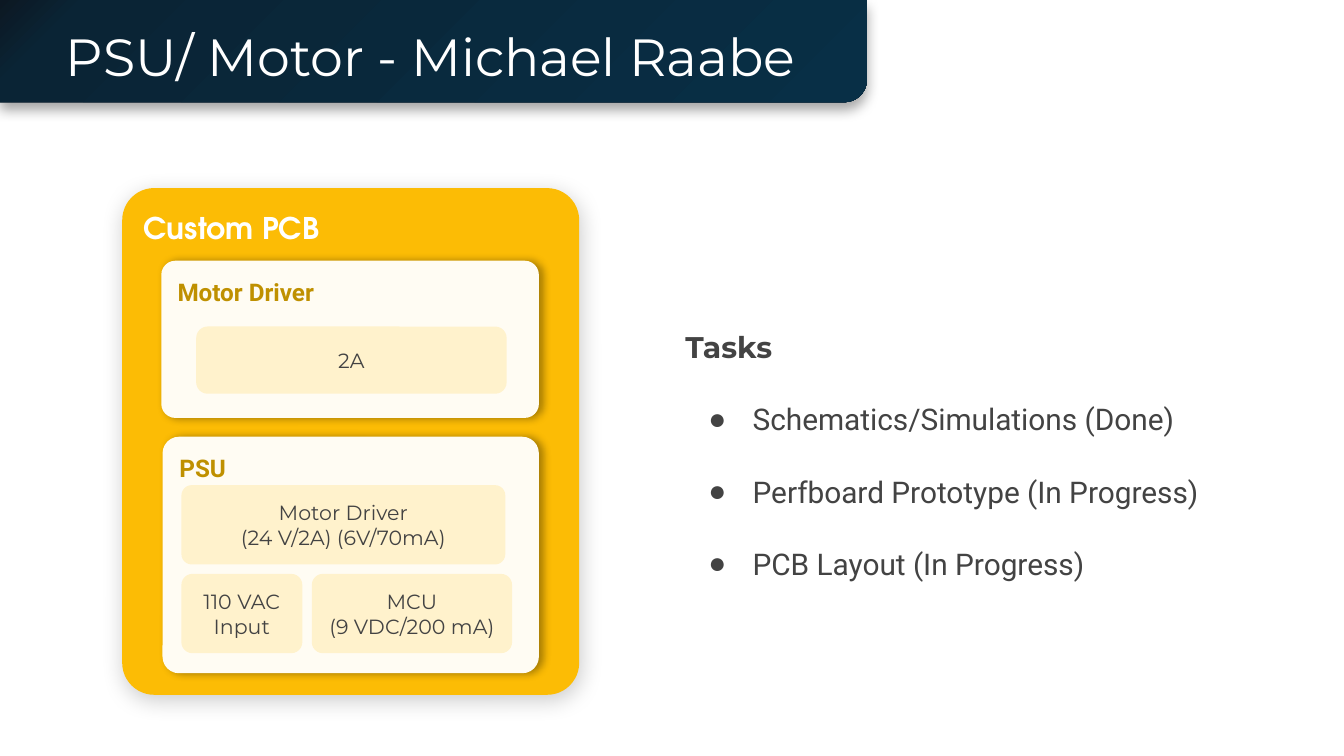
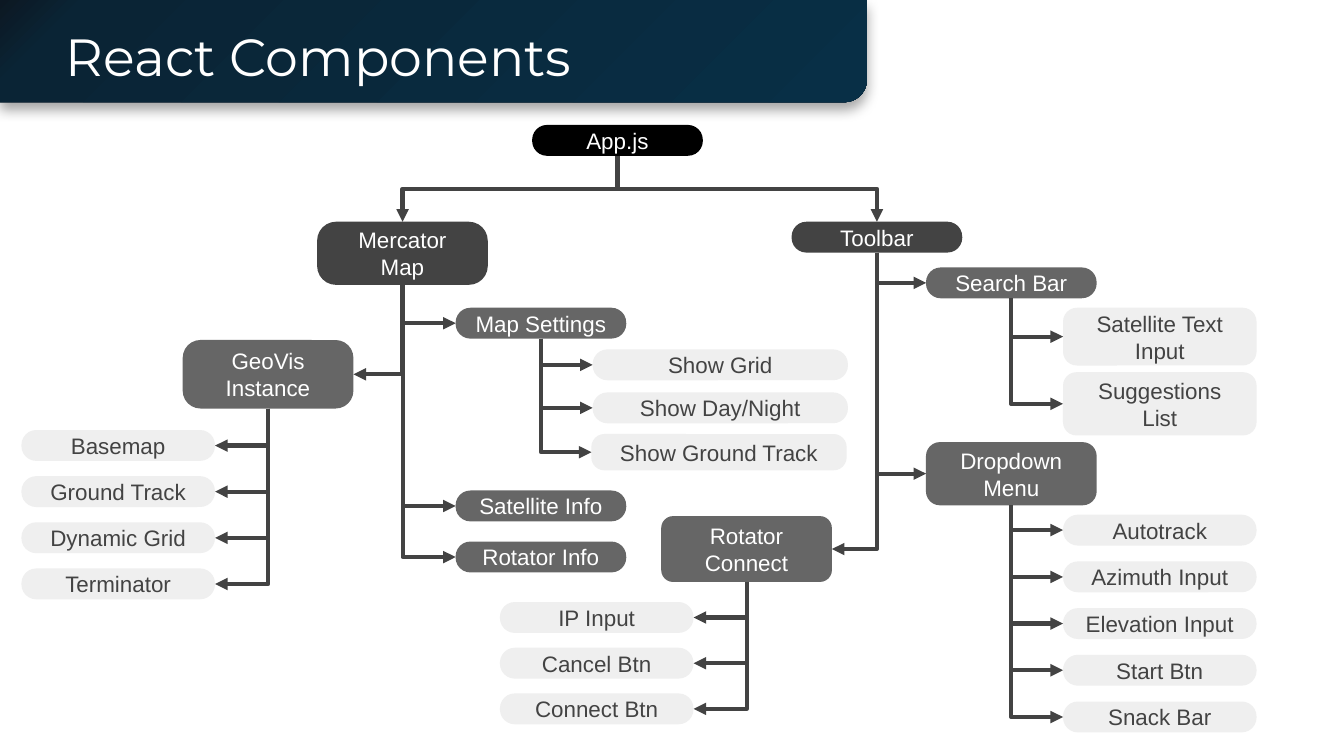
from dataclasses import dataclass

from pptx import Presentation
from pptx.dml.color import RGBColor
from pptx.enum.shapes import MSO_CONNECTOR, MSO_SHAPE
from pptx.enum.text import MSO_ANCHOR, MSO_AUTO_SIZE, PP_ALIGN
from pptx.oxml import parse_xml
from pptx.oxml.ns import nsdecls, qn
from pptx.util import Inches, Pt

WHITE, GRAPHITE, AMBER, IVORY, CREAM, BRONZE = (
    "FFFFFF", "434343", "FCBC05", "FFFCF3", "FFF2CC", "BF9000")
BAND_STOPS = ((0, "082F46"), (91, "0A2435"), (100, "0C1823"))
LEVEL_COLOURS = (("000000", WHITE), (GRAPHITE, WHITE), ("666666", WHITE), ("EFEFEF", GRAPHITE))
ROW = 0.23
LEAF_WIDTH = 1.44


@dataclass(frozen=True)
class Shadow:
    alpha: int
    blur: float
    distance: float
    angle: int


@dataclass(frozen=True)
class TextStyle:
    font: str
    size: float
    colour: str
    bold: bool = False


@dataclass(frozen=True)
class Card:
    lines: tuple[str, ...]
    left: float
    top: float
    width: float
    height: float
    corner: float
    fill: str
    style: TextStyle
    shadow: Shadow | None = None
    centred: bool = False


@dataclass(frozen=True)
class Component:
    text: str
    level: int
    left: float
    top: float
    parent: str = ""
    width: float = 1.27
    height: float = ROW
    corner: float = 0.48


TITLE = TextStyle("Montserrat", 28, WHITE)
BOARD_NAME = TextStyle("TeX Gyre Adventor", 16, WHITE, True)
UNIT_NAME = TextStyle("Roboto", 13, BRONZE, True)
RATING = TextStyle("Montserrat", 11, GRAPHITE)
TASKS_HEADING = TextStyle("Montserrat", 16, GRAPHITE, True)
TASK = TextStyle("Roboto", 16, GRAPHITE)
BAND_SHADOW = Shadow(35, 6.8, 3.8, 98)
BOARD_SHADOW = Shadow(20, 12.4, 3, 70)
UNIT_SHADOW = Shadow(35, 4.5, 2.2, 0)

BOARD = (
    Card(("Custom PCB",), 0.91, 1.4, 3.4, 3.77, 0.07, AMBER, BOARD_NAME, BOARD_SHADOW),
    Card(("PSU",), 1.21, 3.25, 2.8, 1.76, 0.07, IVORY, UNIT_NAME, UNIT_SHADOW),
    Card(("Motor Driver",), 1.2, 1.94, 2.81, 1.17, 0.09, IVORY, UNIT_NAME, UNIT_SHADOW),
    Card(("2A",), 1.46, 2.43, 2.31, 0.5, 0.17, CREAM, RATING, centred=True),
    Card(("MCU", "(9 VDC/200 mA)"), 2.32, 4.27, 1.49, 0.59, 0.14, CREAM, RATING, centred=True),
    Card(("Motor Driver", "(24 V/2A) (6V/70mA)"), 1.35, 3.61, 2.41, 0.59, 0.13, CREAM, RATING,
         centred=True),
    Card(("110 VAC", "Input"), 1.35, 4.27, 0.9, 0.59, 0.14, CREAM, RATING, centred=True),
)
TASKS = ("Schematics/Simulations (Done)", "Perfboard Prototype (In Progress)",
         "PCB Layout (In Progress)")


def leaf_column(parent: str, left: float, first_top: float, last_top: float,
                texts: tuple[str, ...], width: float = LEAF_WIDTH) -> list[Component]:
    step = (last_top - first_top) / (len(texts) - 1)
    return [Component(text, 3, left, first_top + step * row, parent, width)
            for row, text in enumerate(texts)]


COMPONENTS = [
    Component("App.js", 0, 3.96, 0.93),
    Component("Mercator Map", 1, 2.36, 1.65, "App.js", height=0.47, corner=0.3),
    Component("Toolbar", 1, 5.89, 1.65, "App.js"),
    Component("Map Settings", 2, 3.39, 2.29, "Mercator Map"),
    Component("GeoVis Instance", 2, 1.36, 2.53, "Mercator Map", height=0.51, corner=0.26),
    Component("Satellite Info", 2, 3.39, 3.65, "Mercator Map"),
    Component("Rotator Info", 2, 3.39, 4.03, "Mercator Map"),
    Component("Search Bar", 2, 6.89, 1.99, "Toolbar"),
    Component("Dropdown Menu", 2, 6.89, 3.29, "Toolbar", height=0.47, corner=0.22),
    Component("Rotator Connect", 2, 4.92, 3.84, "Toolbar", height=0.49, corner=0.18),
    *leaf_column("Map Settings", 4.41, 2.6, 2.92, ("Show Grid", "Show Day/Night"), 1.9),
    Component("Show Ground Track", 3, 4.4, 3.23, "Map Settings", 1.9, 0.27, 0.36),
    *leaf_column("GeoVis Instance", 0.16, 3.2, 4.23,
                 ("Basemap", "Ground Track", "Dynamic Grid", "Terminator")),
    Component("Satellite Text Input", 3, 7.91, 2.29, "Search Bar", LEAF_WIDTH, 0.43, 0.24),
    Component("Suggestions List", 3, 7.91, 2.77, "Search Bar", LEAF_WIDTH, 0.47, 0.21),
    *leaf_column("Dropdown Menu", 7.91, 3.83, 5.22,
                 ("Autotrack", "Azimuth Input", "Elevation Input", "Start Btn", "Snack Bar")),
    *leaf_column("Rotator Connect", 3.72, 4.48, 5.16, ("IP Input", "Cancel Btn", "Connect Btn")),
]


def rgb(colour: str) -> RGBColor:
    return RGBColor.from_string(colour)


def write(paragraph, text: str, style: TextStyle) -> None:
    run = paragraph.add_run()
    run.text = text
    run.font.name = style.font
    run.font.size = Pt(style.size)
    run.font.bold = style.bold
    run.font.color.rgb = rgb(style.colour)


def prepare_frame(frame, anchor: MSO_ANCHOR, inset: float = 0.1) -> None:
    frame.word_wrap = True
    frame.auto_size = MSO_AUTO_SIZE.NONE
    frame.vertical_anchor = anchor
    frame.margin_left = frame.margin_right = Inches(inset)
    frame.margin_top = frame.margin_bottom = Inches(inset)


def place(shape, left: float, top: float, width: float, height: float) -> None:
    shape.left, shape.top = Inches(left), Inches(top)
    shape.width, shape.height = Inches(width), Inches(height)


def cast_shadow(shape, shadow: Shadow | None) -> None:
    shape.shadow.inherit = False
    if shadow:
        shape.element.spPr.find(qn("a:effectLst")).append(parse_xml(
            f'<a:outerShdw {nsdecls("a")} blurRad="{Pt(shadow.blur)}" dist="{Pt(shadow.distance)}" '
            f'dir="{shadow.angle * 60000}" algn="bl" rotWithShape="0"><a:srgbClr val="000000">'
            f'<a:alpha val="{shadow.alpha * 1000}"/></a:srgbClr></a:outerShdw>'))


def draw_card(slide, card: Card):
    shape = slide.shapes.add_shape(
        MSO_SHAPE.ROUNDED_RECTANGLE, Inches(card.left), Inches(card.top),
        Inches(card.width), Inches(card.height))
    shape.adjustments[0] = card.corner
    shape.fill.solid()
    shape.fill.fore_color.rgb = rgb(card.fill)
    shape.line.fill.background()
    cast_shadow(shape, card.shadow)
    frame = shape.text_frame
    if card.centred:
        prepare_frame(frame, MSO_ANCHOR.MIDDLE)
    else:
        prepare_frame(frame, MSO_ANCHOR.TOP, 0.09)
    for row, line in enumerate(card.lines):
        paragraph = frame.paragraphs[0] if row == 0 else frame.add_paragraph()
        paragraph.alignment = PP_ALIGN.CENTER if card.centred else PP_ALIGN.LEFT
        write(paragraph, line, card.style)
    return shape


def add_master_band(presentation, slide) -> None:
    band = slide.shapes.add_shape(
        MSO_SHAPE.ROUND_1_RECTANGLE, Inches(0), Inches(0), Inches(6.45), Inches(0.76))
    band.adjustments[0] = 0.22
    band.rotation = 180
    band.element.spPr.xfrm.set("flipH", "1")
    band.line.fill.background()
    cast_shadow(band, BAND_SHADOW)
    band.fill.background()
    stops = "".join(f'<a:gs pos="{position * 1000}"><a:srgbClr val="{colour}"/></a:gs>'
                    for position, colour in BAND_STOPS)
    properties = band.element.spPr
    properties.replace(properties.find(qn("a:noFill")), parse_xml(
        f'<a:gradFill {nsdecls("a")}><a:gsLst>{stops}</a:gsLst><a:path path="circle">'
        '<a:fillToRect l="100000" t="100000"/></a:path></a:gradFill>'))
    presentation.slide_master.shapes.element.insert(2, band.element)


def set_title(slide, text: str) -> None:
    title = slide.shapes.title
    place(title, 0.39, 0.08, 6.14, 0.69)
    prepare_frame(title.text_frame, MSO_ANCHOR.TOP)
    heading = title.text_frame.paragraphs[0]
    heading.alignment = PP_ALIGN.LEFT
    write(heading, text, TITLE)


def set_indent(paragraph, margin: float, hanging: float, bullet: str) -> None:
    properties = paragraph._p.get_or_add_pPr()
    properties.set("marL", str(Inches(margin)))
    properties.set("indent", str(-Inches(hanging)))
    if not bullet:
        properties.append(parse_xml(f'<a:buNone {nsdecls("a")}/>'))
        return
    for markup in (f'<a:buClr {nsdecls("a")}><a:srgbClr val="{GRAPHITE}"/></a:buClr>',
                   f'<a:buFont {nsdecls("a")} typeface="Arial"/>',
                   f'<a:buChar {nsdecls("a")} char="{bullet}"/>'):
        properties.append(parse_xml(markup))


def fill_tasks(slide) -> None:
    tasks = slide.placeholders[1]
    place(tasks, 5, 2.16, 4.5, 2.25)
    frame = tasks.text_frame
    prepare_frame(frame, MSO_ANCHOR.TOP)
    heading = frame.paragraphs[0]
    set_indent(heading, 0, 0, "")
    heading.space_before = Pt(0)
    heading.line_spacing = 1.7
    write(heading, "Tasks", TASKS_HEADING)
    for text in TASKS:
        task = frame.add_paragraph()
        set_indent(task, 0.5, 0.33, "●")
        task.space_before = Pt(10)
        task.line_spacing = 1.5
        write(task, text, TASK)


def draw_component(slide, component: Component):
    fill, colour = LEVEL_COLOURS[component.level]
    return draw_card(slide, Card(
        (component.text,), component.left, component.top, component.width, component.height,
        component.corner, fill, TextStyle("Arial", 12, colour), centred=True))


def connect(slide, parent, child, from_above: bool) -> None:
    start_x, start_y = parent.left + parent.width // 2, parent.top + parent.height
    child_x = child.left + child.width // 2
    to_right = child_x > start_x
    if from_above:
        site, end_x, end_y = 0, child_x, child.top
    else:
        site, end_x = (1, child.left) if to_right else (3, child.left + child.width)
        end_y = child.top + child.height // 2
    arrow = slide.shapes.add_connector(MSO_CONNECTOR.ELBOW, start_x, start_y, end_x, end_y)
    arrow.begin_connect(parent, 2)
    arrow.end_connect(child, site)

    run, drop = abs(end_x - start_x), end_y - start_y
    arrow.left = (start_x + end_x - drop) // 2
    arrow.top = (start_y + end_y - run) // 2
    arrow.width, arrow.height = drop, run
    properties = arrow.element.spPr
    frame = properties.xfrm
    frame.set("rot", str((270 if to_right else 90) * 60000))
    frame.set("flipH", "1" if to_right else "0")
    frame.set("flipV", "0")
    if not from_above:
        properties.find(qn("a:prstGeom")).set("prst", "bentConnector2")

    arrow.line.color.rgb = rgb(GRAPHITE)
    arrow.line.width = Pt(2.25)
    properties.find(qn("a:ln")).append(parse_xml(f'<a:tailEnd {nsdecls("a")} type="triangle"/>'))
    properties.append(parse_xml(f'<a:effectLst {nsdecls("a")}/>'))


def build_motor_slide(presentation) -> None:
    slide = presentation.slides.add_slide(presentation.slide_layouts[1])
    add_master_band(presentation, slide)
    set_title(slide, "PSU/ Motor - Michael Raabe")
    for card in BOARD:
        draw_card(slide, card)
    fill_tasks(slide)


def build_components_slide(presentation) -> None:
    slide = presentation.slides.add_slide(presentation.slide_layouts[5])
    set_title(slide, "React Components")
    drawn = {component.text: draw_component(slide, component) for component in COMPONENTS}
    for component in COMPONENTS:
        if component.parent:
            connect(slide, drawn[component.parent], drawn[component.text], component.level == 1)


def main() -> None:
    presentation = Presentation()
    presentation.slide_width = Inches(10)
    presentation.slide_height = Inches(10) * 9 // 16
    build_motor_slide(presentation)
    build_components_slide(presentation)
    presentation.save("out.pptx")


if __name__ == "__main__":
    main()
